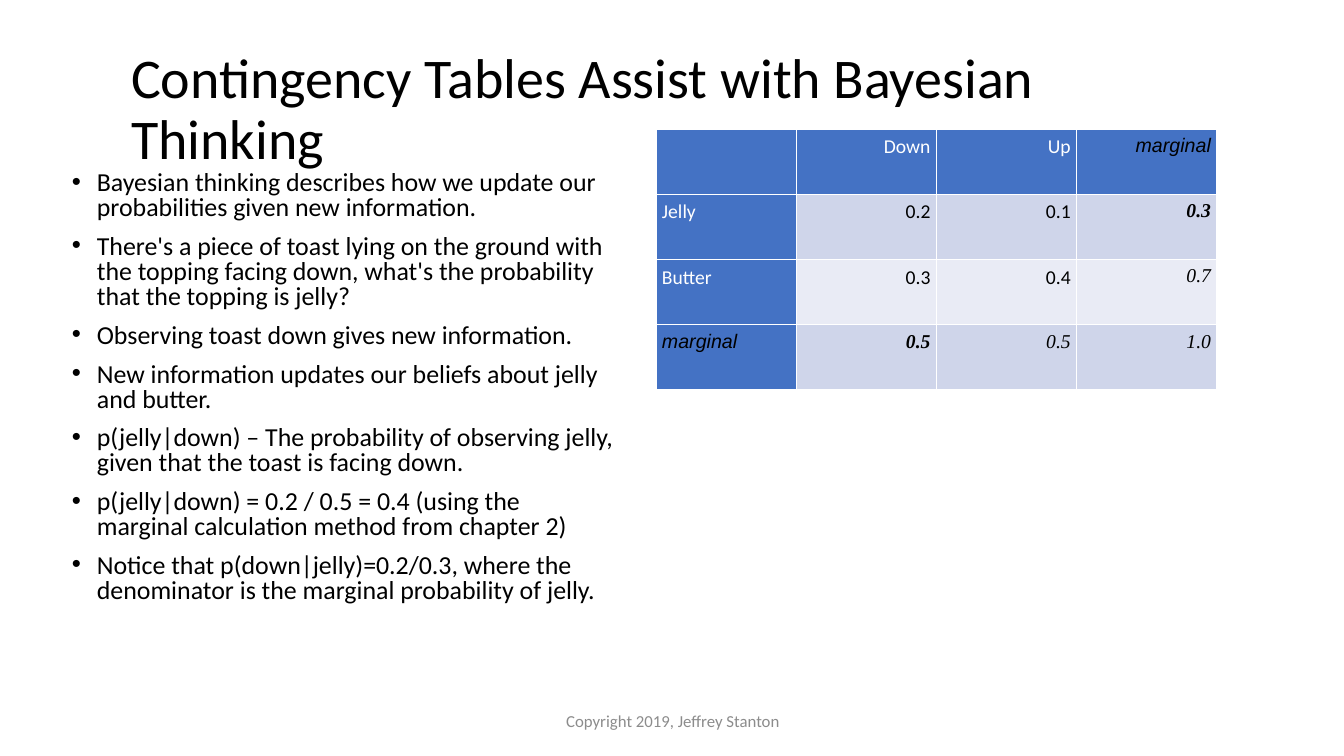
from lxml.etree import SubElement
from pptx import Presentation
from pptx.dml.color import RGBColor
from pptx.enum.text import MSO_ANCHOR, MSO_AUTO_SIZE, PP_ALIGN
from pptx.oxml.ns import qn
from pptx.util import Pt

PX = 914400 / 100.8
SLIDE = (1344, 756)
TITLE_BOX = (121, 31, 1109, 160)
BODY_BOX = (62, 167, 561, 474)
TABLE_BOX = (656, 129, 561, 261)
FOOTER_BOX = (446, 701, 454, 40)
INDENT = 25
CELL_INSET = 6

BLACK, WHITE, GREY = "000000", "FFFFFF", "8C8C8C"
HEADER_FILL = "4472C4"
BAND_FILLS = ["CFD5EA", "E9EBF5"]

TITLE = "Contingency Tables Assist with Bayesian Thinking"
FOOTER = "Copyright 2019, Jeffrey Stanton"
POINTS = [
    "Bayesian thinking describes how we update our probabilities given new information.",
    "There's a piece of toast lying on the ground with the topping facing down, "
    "what's the probability that the topping is jelly?",
    "Observing toast down gives new information.",
    "New information updates our beliefs about jelly\nand butter.",
    "p(jelly|down) – The probability of observing jelly, given that the toast is facing down.",
    "p(jelly|down) = 0.2 / 0.5 = 0.4 (using the marginal calculation method from chapter 2)",
    "Notice that p(down|jelly)=0.2/0.3, where the denominator is the marginal probability of jelly.",
]
PROBABILITIES = [
    ["", "Down", "Up", "marginal"],
    ["Jelly", "0.2", "0.1", "0.3"],
    ["Butter", "0.3", "0.4", "0.7"],
    ["marginal", "0.5", "0.5", "1.0"],
]
BOLD_CELLS = {(1, 3), (3, 1)}


def px(length):
    return round(length * PX)


def color(value):
    return RGBColor.from_string(value)


def write(paragraph, text, size, font="Calibri", fill=BLACK, align=PP_ALIGN.LEFT,
          spacing=None, before=0, bullet=False, bold=False, italic=False):
    paragraph.text = text
    paragraph.alignment = align
    paragraph.line_spacing = spacing
    paragraph.space_before = Pt(before)
    if bullet:
        properties = paragraph._p.get_or_add_pPr()
        properties.set("marL", str(px(INDENT)))
        properties.set("indent", str(-px(INDENT)))
        SubElement(properties, qn("a:buFont"), typeface="Arial")
        SubElement(properties, qn("a:buChar"), char="•")
    for run in paragraph.runs:
        run.font.size = Pt(size)
        run.font.name = font
        run.font.color.rgb = color(fill)
        run.font.bold = bold
        run.font.italic = italic


def add_frame(slide, box, anchor):
    frame = slide.shapes.add_textbox(*map(px, box)).text_frame
    frame.word_wrap = True
    frame.vertical_anchor = anchor
    return frame


def add_borders(cell):
    properties = cell._tc.get_or_add_tcPr()
    for position, side in enumerate(("a:lnL", "a:lnR", "a:lnT", "a:lnB")):
        line = SubElement(properties, qn(side), w=str(Pt(1)))
        fill = SubElement(line, qn("a:solidFill"))
        SubElement(fill, qn("a:srgbClr"), val=WHITE)
        properties.insert(position, line)


def cell_format(row, column):
    text = PROBABILITIES[row][column]
    heading = row == 0 or column == 0
    marginal = row == 3 or column == 3
    if text == "marginal":
        font = "Arial"
    else:
        font = "Times New Roman" if marginal else "Calibri"
    return dict(
        font=font,
        fill=WHITE if heading and not marginal else BLACK,
        align=PP_ALIGN.RIGHT if column else PP_ALIGN.LEFT,
        bold=(row, column) in BOLD_CELLS,
        italic=marginal,
    )


def add_probabilities(slide):
    count = len(PROBABILITIES)
    table = slide.shapes.add_table(count, count, *map(px, TABLE_BOX)).table
    table.first_row = table.horz_banding = False
    for row, values in enumerate(PROBABILITIES):
        for column, text in enumerate(values):
            cell = table.cell(row, column)
            cell.margin_left = cell.margin_right = px(CELL_INSET)
            cell.margin_top = cell.margin_bottom = px(CELL_INSET)
            heading = row == 0 or column == 0
            cell.fill.solid()
            cell.fill.fore_color.rgb = color(HEADER_FILL if heading else BAND_FILLS[(row - 1) % 2])
            add_borders(cell)
            write(cell.text_frame.paragraphs[0], text, 14, **cell_format(row, column))


def main():
    deck = Presentation()
    deck.slide_width, deck.slide_height = map(px, SLIDE)
    slide = deck.slides.add_slide(deck.slide_layouts[5])

    title = slide.shapes.title
    title.left, title.top, title.width, title.height = map(px, TITLE_BOX)
    title.text_frame.word_wrap = True
    title.text_frame.auto_size = MSO_AUTO_SIZE.NONE
    title.text_frame.vertical_anchor = MSO_ANCHOR.MIDDLE
    write(title.text_frame.paragraphs[0], TITLE, 40, spacing=0.9)

    body = add_frame(slide, BODY_BOX, MSO_ANCHOR.TOP)
    for index, point in enumerate(POINTS):
        paragraph = body.add_paragraph() if index else body.paragraphs[0]
        write(paragraph, point, 18.5, spacing=0.8, before=10 if index else 0, bullet=True)

    add_probabilities(slide)

    footer = add_frame(slide, FOOTER_BOX, MSO_ANCHOR.MIDDLE)
    write(footer.paragraphs[0], FOOTER, 12, fill=GREY, align=PP_ALIGN.CENTER)

    deck.save("out.pptx")


if __name__ == "__main__":
    main()
